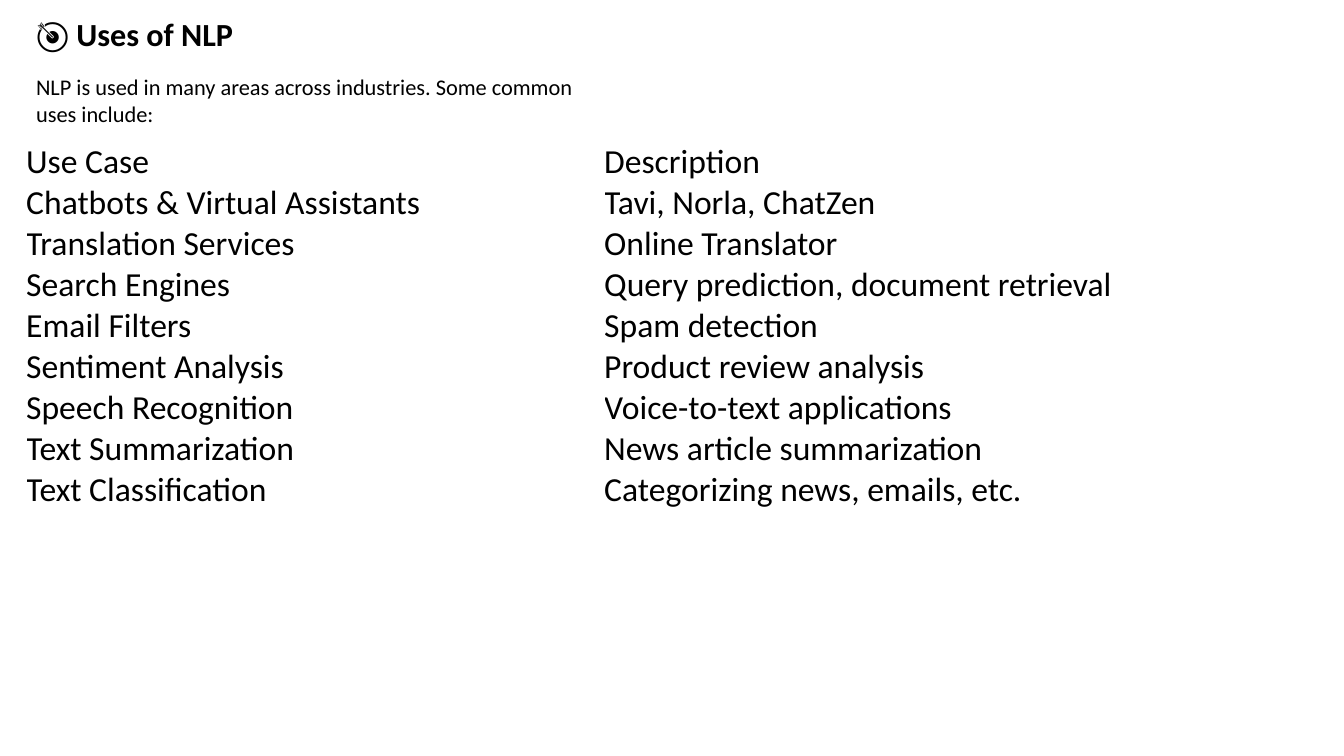
from pptx import Presentation
from pptx.dml.color import RGBColor
from pptx.enum.text import MSO_ANCHOR as ANCHOR, MSO_AUTO_SIZE as AUTO, PP_ALIGN as ALIGN
from pptx.util import Pt


def style(p, size, bold=False, color="000000"):
    p.alignment = ALIGN.LEFT
    font = {"name": "Calibri", "size": Pt(size), "bold": bold}
    for r in p.runs:
        for key, value in font.items():
            setattr(r.font, key, value)
        r.font.color.rgb = RGBColor.from_string(color)


prs = Presentation()
prs.slide_width, prs.slide_height = Pt(960), Pt(540)
s = prs.slides.add_slide(prs.slide_layouts[5])

left, text_width = Pt(18.7), Pt(400.3)
title = s.shapes.title
title.left, title.top, title.width, title.height = left, Pt(6.5), text_width, Pt(42)
intro = s.shapes.add_textbox(left, Pt(48.8), text_width, Pt(52))

texts = [
    (title, "🎯 Uses of NLP", 23, True),
    (intro, "NLP is used in many areas across industries. Some common uses include:", 16, False),
]
for sp, text, size, bold in texts:
    tf = sp.text_frame
    tf.text = text
    tf.word_wrap = True
    tf.auto_size = AUTO.NONE
    tf.vertical_anchor = ANCHOR.TOP
    style(tf.paragraphs[0], size, bold)

use_cases = [
    ("Use Case", "Description"),
    ("Chatbots & Virtual Assistants", "Tavi, Norla, ChatZen"),
    ("Translation Services", "Online Translator"),
    ("Search Engines", "Query prediction, document retrieval"),
    ("Email Filters", "Spam detection"),
    ("Sentiment Analysis", "Product review analysis"),
    ("Speech Recognition", "Voice-to-text applications"),
    ("Text Summarization", "News article summarization"),
    ("Text Classification", "Categorizing news, emails, etc."),
]
row_height = Pt(28.8)
table = s.shapes.add_table(
    len(use_cases), 2, left, Pt(100.8), Pt(825.8), row_height * len(use_cases)
).table
table.first_row = table.horz_banding = False

for row, values in zip(table.rows, use_cases):
    row.height = row_height
    for cell, value in zip(row.cells, values):
        cell.text = value
        cell.fill.background()
        cell.vertical_anchor = ANCHOR.MIDDLE
        for side in ("left", "right", "top", "bottom"):
            setattr(cell, f"margin_{side}", 0)
        style(cell.text_frame.paragraphs[0], 24)

prs.save("out.pptx")
